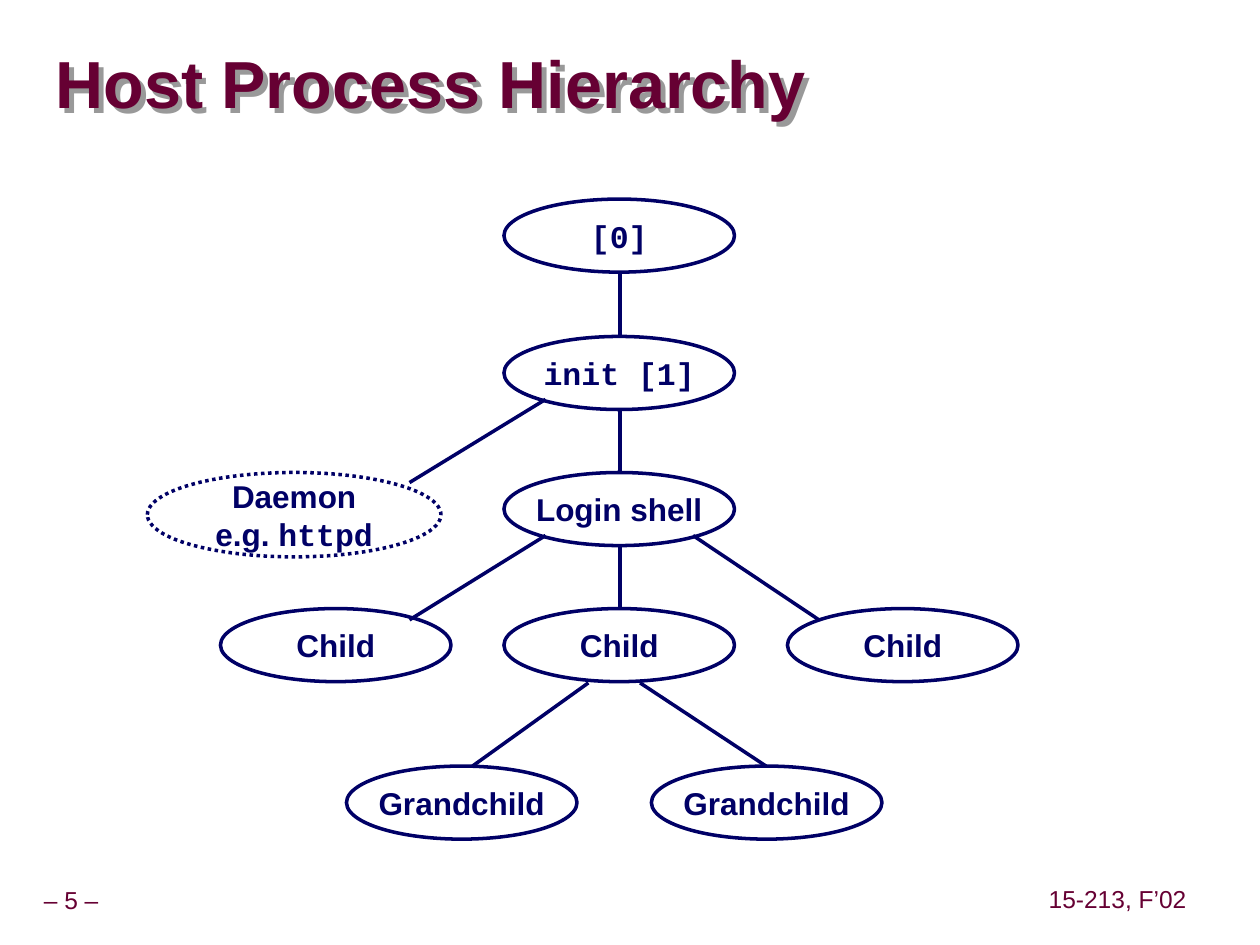
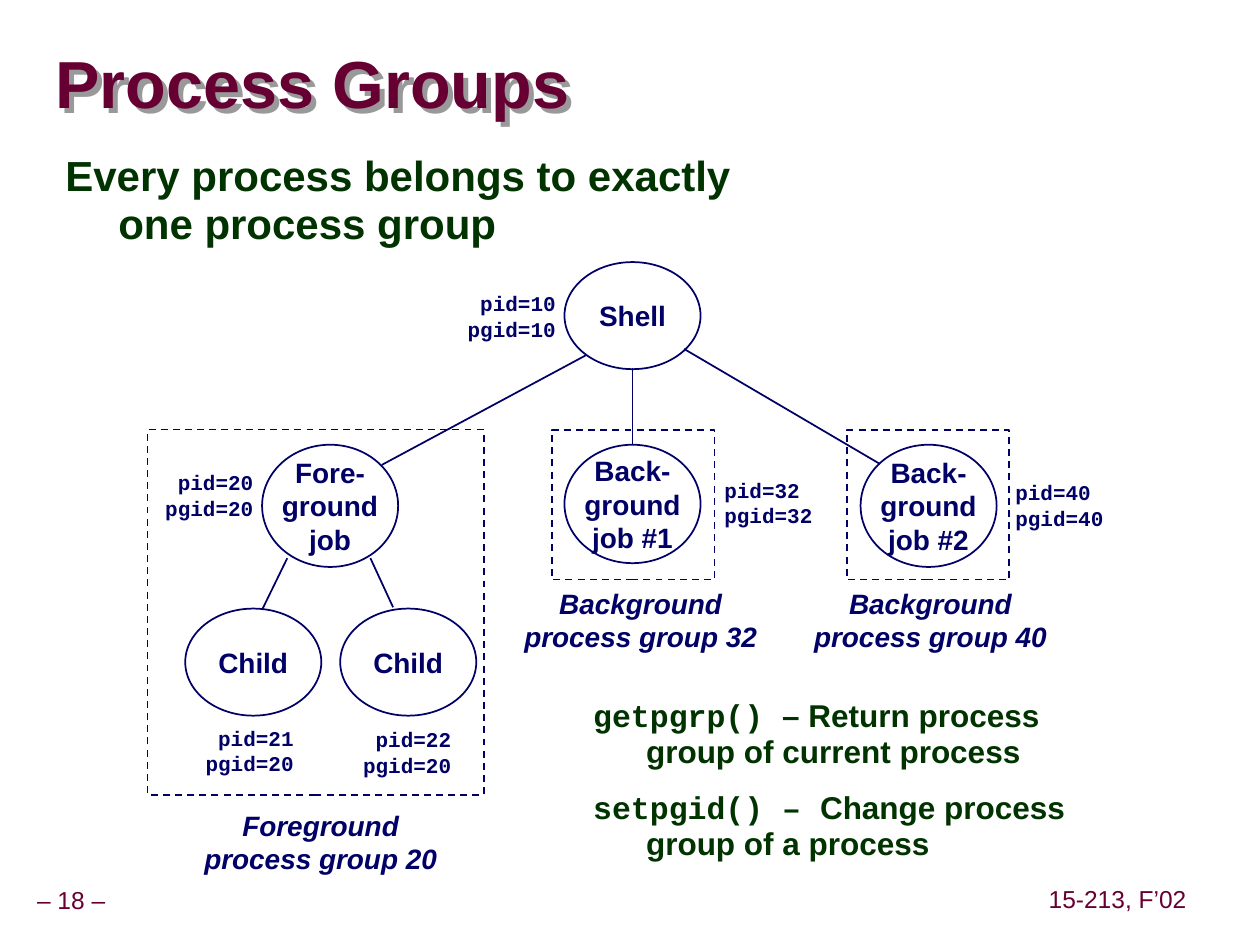
"""Build two slides on host process trees and process groups."""
import pptx
import pptx.util
import pptx.dml.color
import pptx.enum.dml
import pptx.enum.shapes
import pptx.enum.text
import pptx.oxml
import pptx.oxml.ns

Inches = pptx.util.Inches
Pt = pptx.util.Pt
Shape = pptx.enum.shapes.MSO_SHAPE
Dash = pptx.enum.dml.MSO_LINE
Align = pptx.enum.text.PP_ALIGN
Anchor = pptx.enum.text.MSO_ANCHOR

HUES = {"wine": "660033", "navy": "000066", "green": "003300",
        "white": "FFFFFF", "grey": "999999"}
SANS, MONO = "Arial", "Courier New"
FONTS = {
    "title": {"name": SANS, "size": Pt(38), "bold": True},
    "foot": {"name": SANS, "size": Pt(14), "bold": False},
    "body": {"name": SANS, "size": Pt(24), "bold": True},
    "call": {"name": SANS, "size": Pt(18), "bold": True},
    "tree": {"name": SANS, "size": Pt(18), "bold": True},
    "job": {"name": SANS, "size": Pt(16), "bold": True},
    "group": {"name": SANS, "size": Pt(16), "bold": True, "italic": True},
    "pid": {"name": MONO, "size": Pt(12), "bold": True},
}
HANG = {"marL": "384048", "indent": "-384048"}


def rgb(hue):
    """Return the colour that a hue name stands for."""
    return pptx.dml.color.RGBColor.from_string(HUES[hue])


def put(thing, **vals):
    """Set each given value on a thing."""
    for key, val in vals.items():
        setattr(thing, key, val)


def write(shape, paras, style, hue, align, frame=None, form=None):
    """Fill a shape with paragraphs, each a string or a list of (text, font)."""
    body = shape.text_frame
    put(body, **{"word_wrap": False, "vertical_anchor": Anchor.MIDDLE,
                 "margin_left": Inches(0.1), "margin_right": Inches(0.1),
                 "margin_top": Inches(0.05), "margin_bottom": Inches(0.05),
                 **(frame or {})})
    for num, runs in enumerate(paras):
        para = body.add_paragraph() if num else body.paragraphs[0]
        put(para, alignment=align, **(form or {}))
        if not num:
            para.space_before = Pt(0)
        if isinstance(runs, str):
            runs = [(runs, FONTS[style]["name"])]
        for text, face in runs:
            run = para.add_run()
            run.text = text
            put(run.font, **{**FONTS[style], "name": face})
            run.font.color.rgb = rgb(hue)


def label(slide, spot, paras, style, hue="navy", align=Align.CENTER, **rest):
    """Add a text box."""
    box = slide.shapes.add_textbox(*map(Inches, spot))
    write(box, paras, style, hue, align, **rest)
    return box


def figure(slide, kind, spot, width, dash=None):
    """Add an outlined shape with no fill."""
    shape = slide.shapes.add_shape(kind, *map(Inches, spot))
    shape.shadow.inherit = False
    shape.fill.background()
    shape.line.color.rgb = rgb("navy")
    put(shape.line, width=Pt(width), dash_style=dash)
    return shape


def node(slide, spot, paras, style, width, dash=None):
    """Add a white oval with centred text."""
    oval = figure(slide, Shape.OVAL, spot, width, dash)
    oval.fill.solid()
    oval.fill.fore_color.rgb = rgb("white")
    write(oval, paras, style, "navy", Align.CENTER)


def link(slide, ends, width):
    """Join two points with a straight line."""
    line = slide.shapes.add_connector(
        pptx.enum.shapes.MSO_CONNECTOR.STRAIGHT, *map(Inches, ends))
    line.line.color.rgb = rgb("navy")
    line.line.width = Pt(width)
    line._element.spPr.append(pptx.oxml.parse_xml(
        f'<a:effectLst {pptx.oxml.ns.nsdecls("a")}/>'))


def indent(box):
    """Give each paragraph of a box a hanging indent."""
    for para in box.text_frame.paragraphs:
        props = para._p.get_or_add_pPr()
        for key, val in HANG.items():
            props.set(key, val)


def start(deck, title, page):
    """Add a slide with its title and footers."""
    slide = deck.slides.add_slide(deck.slide_layouts[6])
    foot = {"frame": {"margin_left": Inches(0.05), "margin_right": Inches(0.05)},
            "form": {"line_spacing": 0.9}}
    label(slide, (-0.09, 7, 1.31, 0.31), [f"– {page} –"], "foot", "wine", **foot)
    label(slide, (8.27, 6.99, 1.2, 0.31), ["15-213, F’02"], "foot", "wine", **foot)
    sides = ("left", "right", "top", "bottom")
    head = label(slide, (0.44, 0.27, 9.53, 0.85), [title], "title", "wine", Align.LEFT,
                 frame={"word_wrap": True, **{f"margin_{side}": 0 for side in sides}},
                 form={"line_spacing": 0.87})
    head._element.spPr.append(pptx.oxml.parse_xml(
        f'<a:effectLst {pptx.oxml.ns.nsdecls("a")}>'
        '<a:outerShdw dist="50800" dir="2700000" algn="ctr" rotWithShape="0">'
        f'<a:srgbClr val="{HUES["grey"]}"/></a:outerShdw></a:effectLst>'))
    return slide


def draw_tree(deck):
    """Draw the process tree."""
    slide = start(deck, "Host Process Hierarchy", 5)
    wide, high, mid = 1.83, 0.58, 4.92
    rows = [1.58, 2.67, 3.75, 4.83]
    spots = [(4, rows[0], [("[0]", MONO)]), (4, rows[1], [("init [1]", MONO)]),
             (4, rows[2], "Login shell")]
    spots += [(1.75 + 2.25 * col, rows[3], "Child") for col in range(3)]
    spots += [(left, 6.08, "Grandchild") for left in (2.75, 5.17)]
    for left, top, text in spots:
        node(slide, (left, top, wide, high), [text], "tree", 2)
    for top, base in zip(rows, rows[1:]):
        link(slide, (mid, top + high, mid, base), 2)
    for ends in ((4.33, 3.17, 3.25, 3.83), (4.33, 4.25, 3.25, 4.92),
                 (5.5, 4.25, 6.5, 4.92), (4.67, 5.42, 3.75, 6.08),
                 (5.08, 5.42, 6.08, 6.08)):
        link(slide, ends, 2)
    node(slide, (1.17, 3.75, 2.33, 0.67),
         ["Daemon", [("e.g. ", SANS), ("httpd", MONO)]], "tree", 2, Dash.ROUND_DOT)


def draw_groups(deck):
    """Draw the process groups."""
    slide = start(deck, "Process Groups", 18)
    prose = {"word_wrap": True, "vertical_anchor": Anchor.TOP}
    indent(label(slide, (0.42, 1.17, 5.75, 1.5),
                 ["Every process belongs to exactly one process group"],
                 "body", "green", Align.LEFT, frame=prose, form={"line_spacing": 0.95}))

    for left, top, high, paras in (
            (2.08, 3.53, 0.97, ["Fore-", "ground", "job"]),
            (4.48, 3.53, 0.94, ["Back-", "ground", "job #1"]),
            (6.83, 3.53, 0.97, ["Back-", "ground", "job #2"]),
            (4.48, 2.08, 0.85, ["Shell"]),
            (1.47, 4.83, 0.85, ["Child"]),
            (2.7, 4.83, 0.85, ["Child"])):
        node(slide, (left, top, 1.08, high), paras, "job", 1)
    for ends in ((2.28, 4.43, 2.08, 4.84), (2.94, 4.43, 3.12, 4.82),
                 (5.02, 2.92, 5.02, 3.53), (4.65, 2.82, 3.03, 3.69),
                 (5.43, 2.77, 6.98, 3.68)):
        link(slide, ends, 1)

    for left, wide, high in ((1.17, 2.67, 2.9), (4.38, 1.29, 1.19), (6.72, 1.29, 1.19)):
        figure(slide, Shape.RECTANGLE, (left, 3.41, wide, high), 1, Dash.DASH)
    for left, top, kind, group in ((1.52, 6.36, "Foreground", 20),
                                   (4.06, 4.6, "Background", 32),
                                   (6.36, 4.6, "Background", 40)):
        label(slide, (left, top, 2.05, 0.64), [kind, f"process group {group}"], "group")
    for left, top, pid, group, align in (
            (3.61, 2.26, 10, 10, Align.RIGHT), (1.21, 3.68, 20, 20, Align.RIGHT),
            (5.65, 3.74, 32, 32, Align.LEFT), (7.96, 3.76, 40, 40, Align.LEFT),
            (1.53, 5.71, 21, 20, Align.RIGHT), (2.78, 5.72, 22, 20, Align.RIGHT)):
        label(slide, (left, top, 0.9, 0.5), [f"pid={pid}", f"pgid={group}"],
              "pid", align=align)

    calls = [[("getpgrp() ", MONO), ("– Return process group of current process", SANS)],
             [("setpgid() – ", MONO), ("Change process group of a process", SANS)]]
    indent(label(slide, (4.61, 5.5, 4, 1.5), calls, "call", "green", Align.LEFT,
                 frame=prose, form={"line_spacing": 0.95, "space_before": Pt(11.2)}))


def main():
    """Build and save the deck."""
    deck = pptx.Presentation()
    put(deck, slide_width=Inches(10), slide_height=Inches(7.5))
    draw_tree(deck)
    draw_groups(deck)
    deck.save("out.pptx")


if __name__ == "__main__":
    main()
